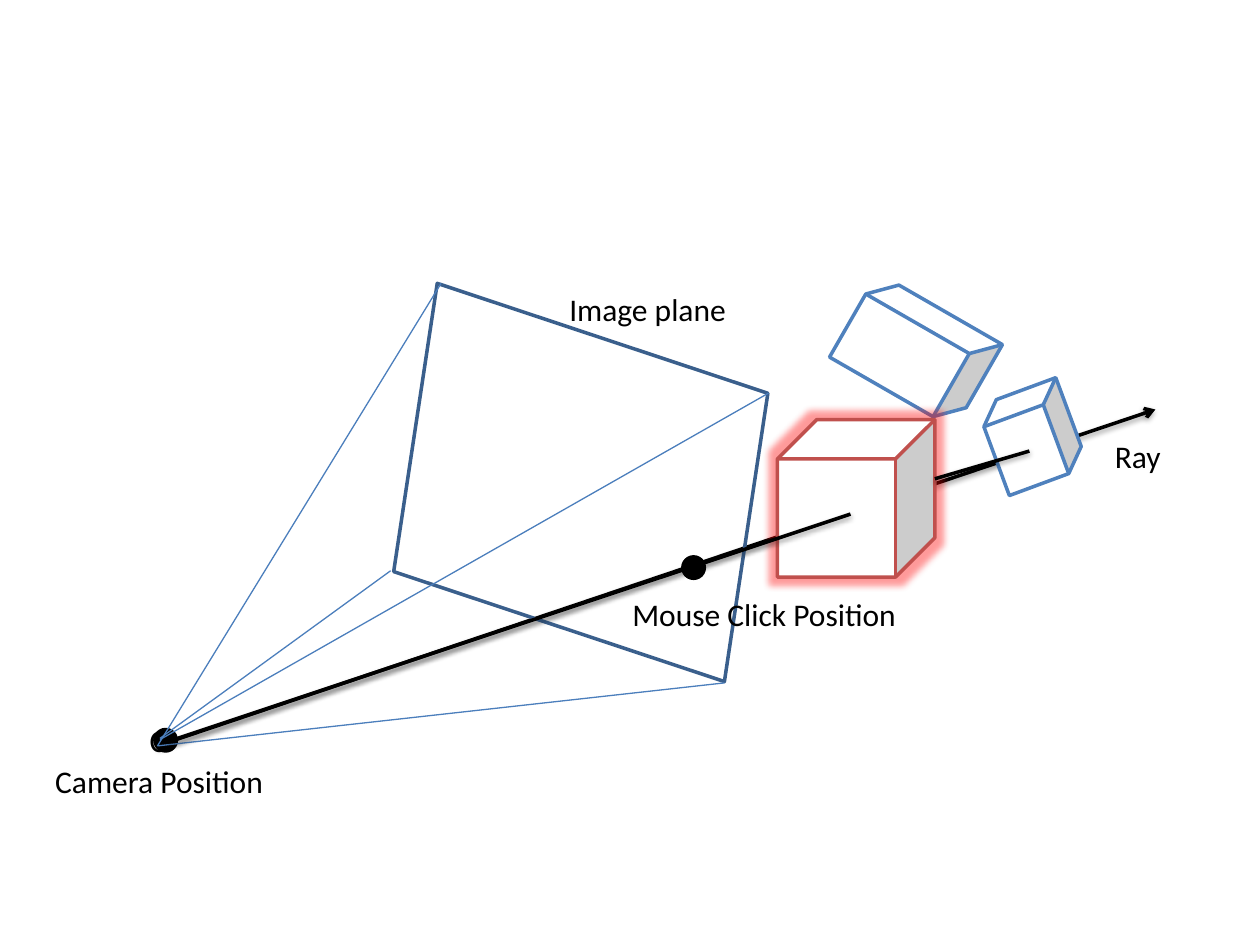
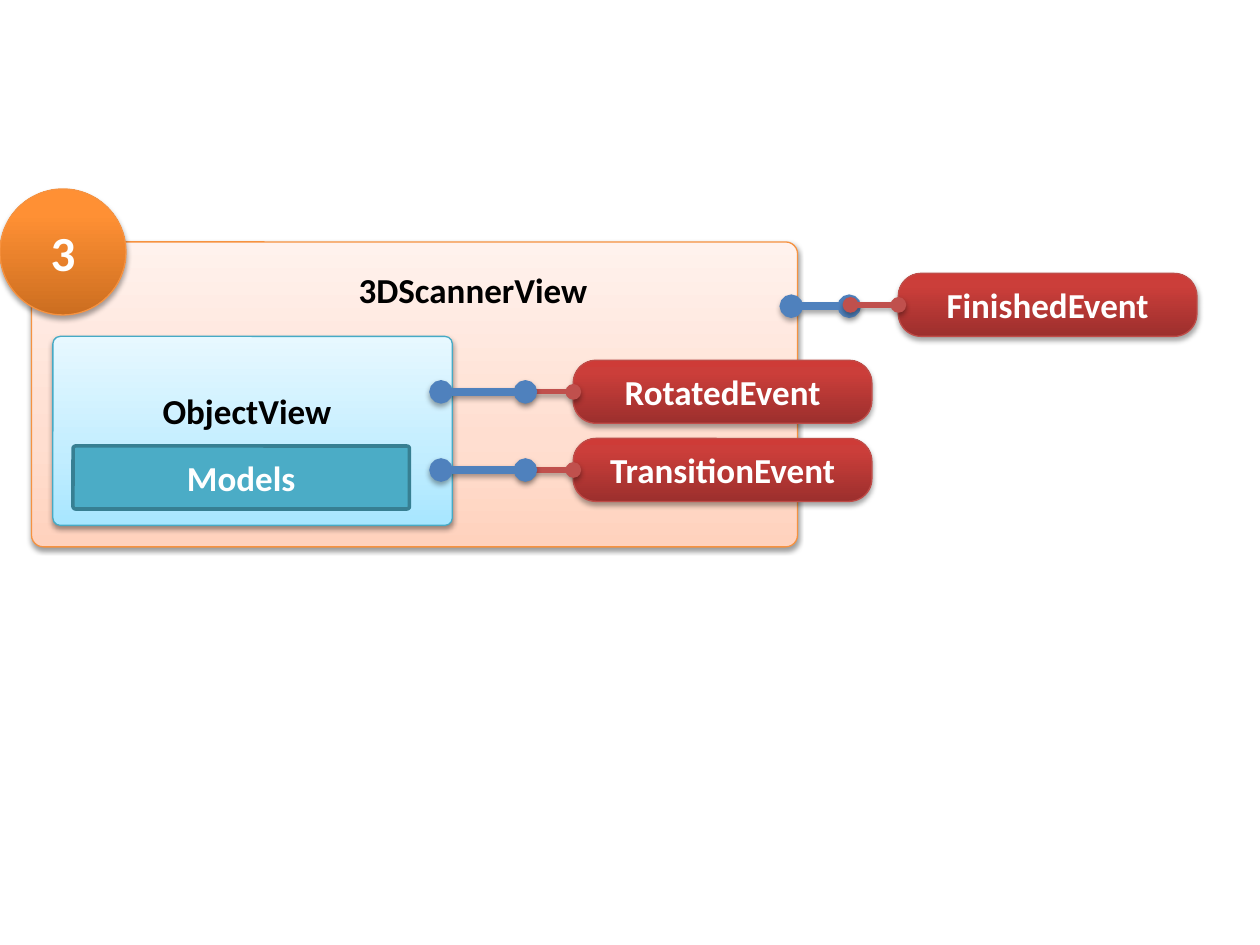
from dataclasses import dataclass
from typing import Optional

from lxml import etree
from pptx import Presentation
from pptx.dml.color import RGBColor
from pptx.enum import shapes, text
from pptx.oxml import ns
from pptx.util import Inches, Pt

FONT = "Calibri"
BLACK = RGBColor(0x00, 0x00, 0x00)
WHITE = RGBColor(0xFF, 0xFF, 0xFF)
BLUE = RGBColor(0x4F, 0x81, 0xBD)
EDGE_BLUE = RGBColor(0x4B, 0x7E, 0xBC)
PLANE_BLUE = RGBColor(0x3A, 0x5F, 0x8C)
RED = RGBColor(0xC0, 0x50, 0x4D)
EVENT_LINE = RGBColor(0xBF, 0x4C, 0x48)
ORANGE_LINE = RGBColor(0xF6, 0x92, 0x40)
VIEW_LINE = RGBColor(0x46, 0xAA, 0xC5)
TEAL = RGBColor(0x4B, 0xAC, 0xC6)
TEAL_LINE = RGBColor(0x37, 0x7F, 0x92)
GLOW = RGBColor(0xFF, 0x00, 0x00)

Gradient = tuple[tuple[int, RGBColor], ...]
PEACH: Gradient = ((0, RGBColor(0xFF, 0xD2, 0xBD)), (35, RGBColor(0xFF, 0xDE, 0xD0)),
                   (100, RGBColor(0xFF, 0xF2, 0xED)))
ORANGE: Gradient = ((0, RGBColor(0xCC, 0x6E, 0x20)), (80, RGBColor(0xFF, 0x90, 0x34)),
                    (100, RGBColor(0xFF, 0x91, 0x36)))
CRIMSON: Gradient = ((0, RGBColor(0x9C, 0x2F, 0x2D)), (80, RGBColor(0xCB, 0x3E, 0x3A)),
                     (100, RGBColor(0xCE, 0x3B, 0x37)))
SKY: Gradient = ((0, RGBColor(0xA7, 0xE6, 0xFF)), (35, RGBColor(0xC1, 0xED, 0xFF)),
                 (100, RGBColor(0xE7, 0xF8, 0xFF)))

CUBE = shapes.MSO_SHAPE.CUBE
OVAL = shapes.MSO_SHAPE.OVAL
ROUNDED = shapes.MSO_SHAPE.ROUNDED_RECTANGLE
PARALLELOGRAM = shapes.MSO_SHAPE.PARALLELOGRAM


@dataclass(frozen=True)
class Shadow:
    alpha: int
    distance: float


SOFT = Shadow(38, 1.6)
STRONG = Shadow(35, 1.8)


@dataclass(frozen=True)
class Box:
    left: float
    top: float
    width: float
    height: float


@dataclass(frozen=True)
class Look:
    line: RGBColor
    width: float
    fill: Optional[RGBColor | Gradient] = None
    shadow: Optional[Shadow] = None


@dataclass(frozen=True)
class Stroke:
    color: RGBColor
    width: float
    shadow: Optional[Shadow] = None
    head: str = ""
    tail: str = ""


@dataclass(frozen=True)
class Event:
    name: str
    left: float
    top: float


DOT = Look(BLACK, 2, BLACK)
BLUE_CUBE = Look(BLUE, 2, WHITE)
EVENT = Look(EVENT_LINE, 0.75, CRIMSON, STRONG)
RAY = Stroke(BLACK, 2, SOFT)
ARROW = Stroke(BLACK, 2, SOFT, tail="arrow")
FRUSTUM_EDGE = Stroke(EDGE_BLUE, 0.75)
SOCKET = Stroke(BLUE, 4.5, STRONG, "oval", "oval")
PLUG = Stroke(RED, 3, STRONG, "oval", "oval")


def sub(parent, tag: str, **attrs):
    return etree.SubElement(parent, ns.qn(tag), {k: str(v) for k, v in attrs.items()})


def add_color(parent, color: RGBColor, alpha: int = 100) -> None:
    clr = sub(parent, "a:srgbClr", val=color)
    if alpha < 100:
        sub(clr, "a:alpha", val=alpha * 1000)


def add_shadow(effects, shadow: Optional[Shadow]) -> None:
    if shadow:
        outer = sub(effects, "a:outerShdw", blurRad=Pt(3.1), dist=Pt(shadow.distance),
                    dir=90 * 60000, rotWithShape=0)
        add_color(outer, BLACK, shadow.alpha)


def add_glow(sp, color: RGBColor) -> None:
    effects = sp._element.spPr.find(ns.qn("a:effectLst"))
    add_color(sub(effects, "a:glow", rad=Pt(8)), color, 40)


def fill_gradient(sp, stops: Gradient) -> None:
    """Run the stops from the bottom edge to the top edge."""
    sp.fill.gradient()
    grad = sp._element.spPr.find(ns.qn("a:gradFill"))
    for child in list(grad):
        grad.remove(child)
    stop_list = sub(grad, "a:gsLst")
    for position, color in stops:
        add_color(sub(stop_list, "a:gs", pos=position * 1000), color)
    sub(grad, "a:lin", ang=270 * 60000, scaled=0)


def add_run(tf, words: str, size: float, color: RGBColor, bold: bool, centred: bool) -> None:
    p = tf.paragraphs[0]
    p.alignment = text.PP_ALIGN.CENTER if centred else text.PP_ALIGN.LEFT
    r = p.add_run()
    r.text = words
    r.font.name, r.font.size, r.font.bold = FONT, Pt(size), bold
    r.font.color.rgb = color


def add_figure(tree, kind, box: Box, look: Look, words: str = "", size: float = 20,
               adj: Optional[float] = None, rotation: float = 0):
    sp = tree.add_shape(kind, Inches(box.left), Inches(box.top),
                        Inches(box.width), Inches(box.height))
    sp.rotation = rotation
    if adj is not None:
        sp.adjustments[0] = adj
    if look.fill is None:
        sp.fill.background()
    elif isinstance(look.fill, RGBColor):
        sp.fill.solid()
        sp.fill.fore_color.rgb = look.fill
    else:
        fill_gradient(sp, look.fill)
    sp.line.color.rgb = look.line
    sp.line.width = Pt(look.width)
    sp.shadow.inherit = False
    add_shadow(sp._element.spPr.find(ns.qn("a:effectLst")), look.shadow)
    if words:
        sp.text_frame.vertical_anchor = text.MSO_ANCHOR.MIDDLE
        add_run(sp.text_frame, words, size, WHITE, True, True)
    return sp


def add_line(tree, start: tuple[float, float], end: tuple[float, float], stroke: Stroke) -> None:
    cxn = tree.add_connector(shapes.MSO_CONNECTOR.STRAIGHT, *map(Inches, start + end))
    cxn.line.color.rgb = stroke.color
    cxn.line.width = Pt(stroke.width)
    sp_pr = cxn._element.spPr
    ln = sp_pr.find(ns.qn("a:ln"))
    for tag, kind in (("a:headEnd", stroke.head), ("a:tailEnd", stroke.tail)):
        if kind:
            sub(ln, tag, type=kind)
    add_shadow(sub(sp_pr, "a:effectLst"), stroke.shadow)


def add_label(tree, words: str, box: Box, size: float = 18, heading: bool = False) -> None:
    """Write a plain label, or a bold, centred and wrapping heading."""
    tf = tree.add_textbox(Inches(box.left), Inches(box.top),
                          Inches(box.width), Inches(box.height)).text_frame
    tf.word_wrap = heading
    tf.auto_size = text.MSO_AUTO_SIZE.SHAPE_TO_FIT_TEXT
    add_run(tf, words, size, BLACK, heading, heading)


def add_event(tree, event: Event) -> None:
    """Group an event pill with the plug on its left side."""
    group = tree.add_group_shape().shapes
    add_figure(group, ROUNDED, Box(event.left, event.top, 2.37, 0.5), EVENT, event.name, adj=0.362)
    middle = event.top + 0.25
    add_line(group, (event.left - 0.38, middle), (event.left, middle), PLUG)


def build_ray_slide(tree) -> None:
    camera = (1.25, 5.92)
    add_figure(tree, CUBE, Box(6.7, 2.4, 1.14, 0.77), BLUE_CUBE, rotation=29.9)
    add_line(tree, camera, (9.17, 3.25), ARROW)
    add_figure(tree, OVAL, Box(5.42, 4.42, 0.17, 0.17), DOT)
    plane = add_figure(tree, PARALLELOGRAM, Box(3.03, 2.69, 3.16, 2.28),
                       Look(PLANE_BLUE, 2), adj=0.173, rotation=18.4)
    plane._element.spPr.xfrm.set("flipV", "1")
    add_figure(tree, OVAL, Box(1.23, 5.79, 0.17, 0.17), DOT)
    add_label(tree, "Camera Position", Box(0.34, 6, 1.87, 0.4))
    add_label(tree, "C", Box(1.09, 5.67, 0.34, 0.4))
    for start, corner in ((camera, (3.5, 2.25)), ((1.27, 5.86), (3.1, 4.53)),
                          ((1.27, 5.87), (6.1, 3.12)), (camera, (5.75, 5.42))):
        add_line(tree, start, corner, FRUSTUM_EDGE)
    add_label(tree, "Ray", Box(8.75, 3.42, 0.57, 0.4))
    add_label(tree, "Mouse Click Position", Box(4.92, 4.67, 2.32, 0.4))
    picked = add_figure(tree, CUBE, Box(6.17, 3.33, 1.25, 1.25), Look(RED, 2, WHITE))
    add_glow(picked, GLOW)
    add_label(tree, "Image plane", Box(4.42, 2.25, 1.46, 0.4))
    add_line(tree, (1.32, 5.89), (6.75, 4.08), RAY)
    add_figure(tree, CUBE, Box(7.86, 3.09, 0.67, 0.75), BLUE_CUBE, rotation=339.7)
    add_line(tree, (7.42, 3.8), (8.17, 3.58), RAY)


def build_scanner_slide(tree) -> None:
    view_events = (Event("RotatedEvent", 4.55, 2.86), Event("TransitionEvent", 4.55, 3.48))

    add_figure(tree, ROUNDED, Box(0.25, 1.92, 6.08, 2.42),
               Look(ORANGE_LINE, 0.75, PEACH, SOFT), adj=0.039)
    add_label(tree, "3DScannerView", Box(1.67, 2.08, 4.17, 0.44), 20, heading=True)
    add_figure(tree, OVAL, Box(0, 1.5, 1, 1), Look(ORANGE_LINE, 0.75, ORANGE, STRONG), "3", 28)
    for event in view_events:
        add_event(tree, event)
    add_line(tree, (6.28, 2.43), (6.74, 2.43), SOCKET)
    add_event(tree, Event("FinishedEvent", 7.13, 2.17))

    view = tree.add_group_shape().shapes
    add_figure(view, ROUNDED, Box(0.42, 2.67, 3.17, 1.5),
               Look(VIEW_LINE, 0.75, SKY, SOFT), adj=0.039)
    for event in view_events:
        middle = event.top + 0.25
        add_line(view, (3.5, middle), (4.17, middle), SOCKET)
    add_figure(view, ROUNDED, Box(0.58, 3.54, 2.67, 0.5),
               Look(TEAL_LINE, 2, TEAL), "Models", adj=0.039)
    add_label(view, "ObjectView", Box(0.92, 3.04, 2.08, 0.33), 20, heading=True)


def main() -> None:
    prs = Presentation()
    prs.slide_width, prs.slide_height = Inches(10), Inches(7.5)
    blank = prs.slide_layouts.get_by_name("Blank")
    for build in (build_ray_slide, build_scanner_slide):
        build(prs.slides.add_slide(blank).shapes)
    prs.save("out.pptx")


if __name__ == "__main__":
    main()
